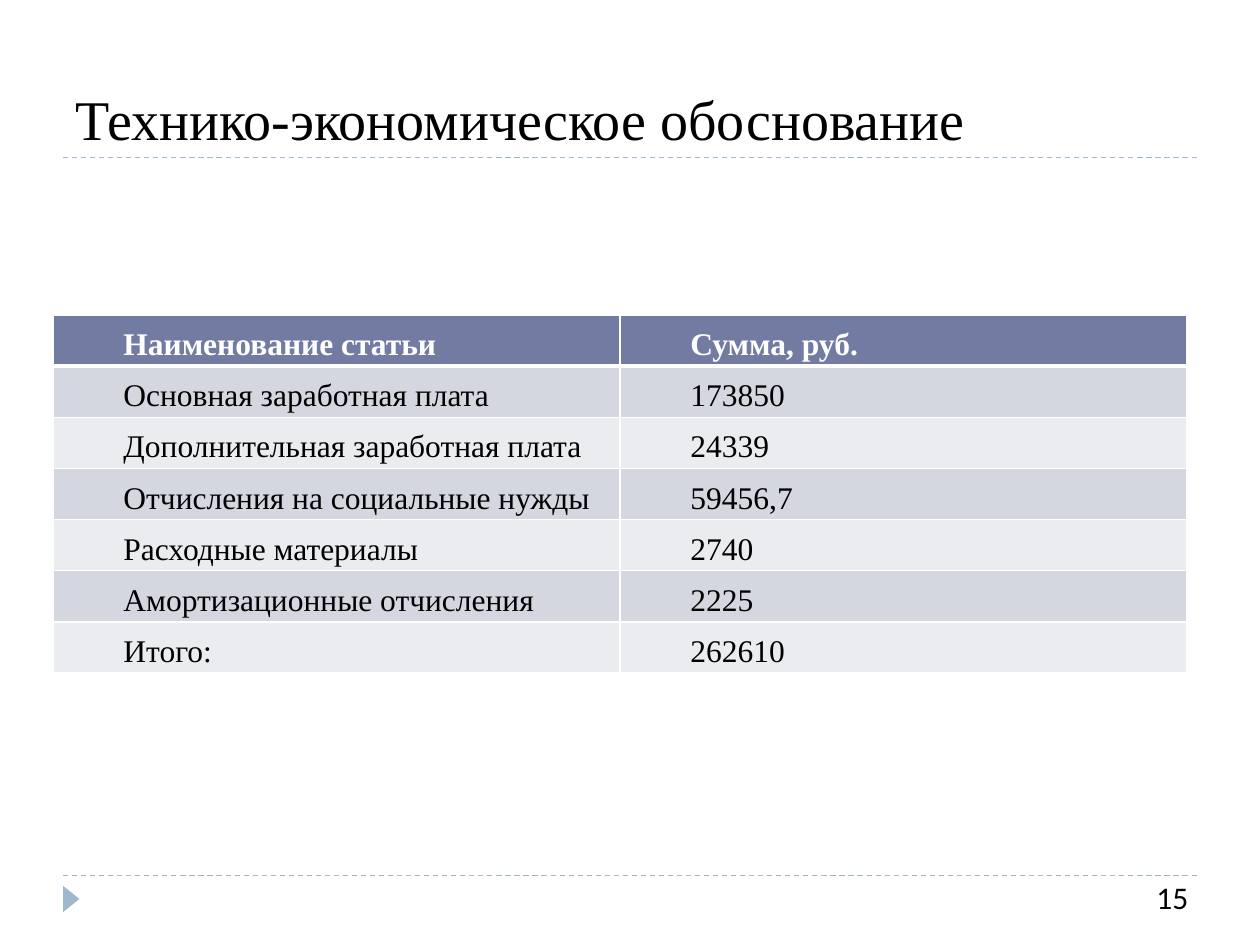
from dataclasses import dataclass

from lxml.etree import SubElement
from pptx import Presentation
from pptx.dml.color import RGBColor
from pptx.enum.dml import MSO_LINE_DASH_STYLE as Dash
from pptx.enum.shapes import MSO_CONNECTOR as Connector, MSO_SHAPE as Shape
from pptx.enum.text import MSO_ANCHOR as Anchor, MSO_AUTO_SIZE as AutoSize
from pptx.oxml.ns import qn
from pptx.util import Inches, Pt

W, H = 10, 7.5
MARGIN = 0.05 * W
COLORS = {
    "accent": "9FB8CD", "header": "727CA3", "odd": "D5D7E0",
    "even": "EBECF0", "white": "FFFFFF", "black": "000000",
}
SERIF, SANS = "Times New Roman", "Calibri"


@dataclass(frozen=True)
class Label:
    text: str
    box: tuple[float, float, float, float]
    font: dict
    frame: dict


@dataclass(frozen=True)
class Expense:
    name: str
    amount: str


LABELS = [
    Label("Технико-экономическое обоснование", (MARGIN, 0.17, W - 2 * MARGIN, 1.08),
          {"size": Pt(32), "name": SERIF},
          {"word_wrap": True, "vertical_anchor": Anchor.BOTTOM}),
    Label("15", (9.08, 6.92, 0.46, 0.4), {"size": Pt(18), "name": SANS},
          {"word_wrap": False, "auto_size": AutoSize.SHAPE_TO_FIT_TEXT}),
]
HEADER = Expense("Наименование статьи", "Сумма, руб.")
EXPENSES = [
    Expense("Основная заработная плата", "173850"),
    Expense("Дополнительная заработная плата", "24339"),
    Expense("Отчисления на социальные нужды", "59456,7"),
    Expense("Расходные материалы", "2740"),
    Expense("Амортизационные отчисления", "2225"),
    Expense("Итого:", "262610"),
]


def rgb(key: str) -> RGBColor:
    return RGBColor.from_string(COLORS[key])


def apply(target, values: dict) -> None:
    for name, value in values.items():
        setattr(target, name, value)


def write(p, text: str, color: str, font: dict) -> None:
    r = p.add_run()
    r.text = text
    apply(r.font, font)
    r.font.color.rgb = rgb(color)


def add_rule(slide, y: float) -> None:
    line = slide.shapes.add_connector(
        Connector.STRAIGHT, Inches(MARGIN), Inches(y), Inches(W - MARGIN), Inches(y))
    apply(line.line, {"width": Pt(0.75), "dash_style": Dash.DASH})
    line.line.color.rgb = rgb("accent")
    SubElement(line._element.spPr, qn("a:effectLst"))


def add_marker(slide) -> None:
    sp = slide.shapes.add_shape(
        Shape.ISOSCELES_TRIANGLE, Inches(0.46), Inches(7.07), Inches(0.21), Inches(0.13))
    sp.rotation = 90
    sp.shadow.inherit = False
    sp.fill.solid()
    sp.fill.fore_color.rgb = rgb("accent")
    sp.line.fill.background()


def add_label(slide, label: Label) -> None:
    tf = slide.shapes.add_textbox(*map(Inches, label.box)).text_frame
    apply(tf, label.frame)
    write(tf.paragraphs[0], label.text, "black", label.font)


def add_borders(cell, widths: dict[str, float]) -> None:
    tc_pr = cell._tc.get_or_add_tcPr()
    for side, width in widths.items():
        ln = SubElement(tc_pr, qn(f"a:ln{side}"), w=str(Pt(width)))
        fill = SubElement(ln, qn("a:solidFill"))
        SubElement(fill, qn("a:srgbClr"), val=COLORS["white"])


def fill_cell(cell, text: str, row: int) -> None:
    is_header = row == 0
    apply(cell, {"margin_left": Inches(0.07), "margin_right": Inches(0.07),
                 "margin_top": 0, "margin_bottom": 0, "vertical_anchor": Anchor.MIDDLE})
    # The line under the header is the heavy one
    add_borders(cell, {"L": 1, "R": 1, "T": 3 if row == 1 else 1,
                       "B": 3 if is_header else 1})
    cell.fill.solid()
    cell.fill.fore_color.rgb = rgb("header" if is_header else "odd" if row % 2 else "even")
    p = cell.text_frame.paragraphs[0]
    p.line_spacing = 1.25
    p_pr = p._p.get_or_add_pPr()
    p_pr.set("marL", "0")
    p_pr.set("indent", str(Inches(0.49)))
    write(p, text, "white" if is_header else "black",
          {"size": Pt(18), "name": SERIF, "bold": is_header})


def add_expenses(slide) -> None:
    rows = [HEADER, *EXPENSES]
    row_height = 0.406
    table = slide.shapes.add_table(
        len(rows), 2, Inches(0.42), Inches(H / 3), Inches(W - 2 * MARGIN),
        Inches(row_height * len(rows))).table
    for i, expense in enumerate(rows):
        table.rows[i].height = Inches(row_height)
        for j, text in enumerate((expense.name, expense.amount)):
            fill_cell(table.cell(i, j), text, i)


def main() -> None:
    prs = Presentation()
    apply(prs, {"slide_width": Inches(W), "slide_height": Inches(H)})
    slide = prs.slides.add_slide(prs.slide_layouts[6])

    # Page frame
    for y in (6.95, 1.25):
        add_rule(slide, y)
    add_marker(slide)

    # Title, table and page number
    title, page_number = LABELS
    add_label(slide, title)
    add_expenses(slide)
    add_label(slide, page_number)

    prs.save("out.pptx")


if __name__ == "__main__":
    main()
